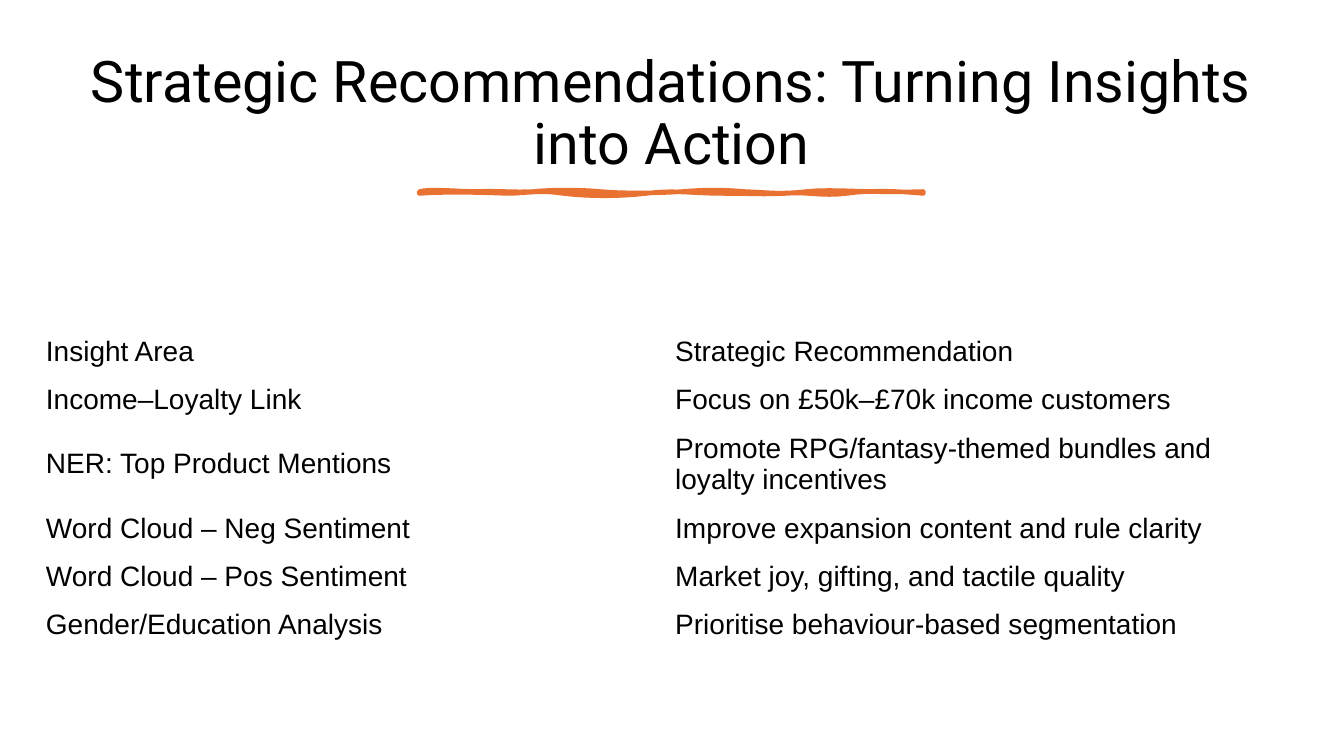
"""Build the strategic recommendations slide."""
from pptx import Presentation
from pptx import util as u
from pptx.dml.color import RGBColor
from pptx.enum import text

BLACK = RGBColor(0x00, 0x00, 0x00)
ORANGE = RGBColor(0xE9, 0x71, 0x32)

TITLE = "Strategic Recommendations: Turning Insights into Action"
TITLE_FONT = {"name": "Roboto", "size": u.Pt(41)}
TITLE_PARA = {"alignment": text.PP_ALIGN.CENTER, "line_spacing": 0.9}
TITLE_FRAME = {"word_wrap": True, "vertical_anchor": text.MSO_ANCHOR.MIDDLE}

RECOMMENDATIONS = [
    ("Insight Area", "Strategic Recommendation"),
    ("Income–Loyalty Link", "Focus on £50k–£70k income customers"),
    ("NER: Top Product Mentions",
     "Promote RPG/fantasy-themed bundles and loyalty incentives"),
    ("Word Cloud – Neg Sentiment", "Improve expansion content and rule clarity"),
    ("Word Cloud – Pos Sentiment", "Market joy, gifting, and tactile quality"),
    ("Gender/Education Analysis", "Prioritise behaviour-based segmentation"),
]
COLUMN_WIDTHS = [449.5, 458.5]
ROW_HEIGHTS = [34.4, 34.4, 57.6, 34.4, 34.4, 34.4]
CELL_FONT = {"name": "Arial", "size": u.Pt(20)}
CELL_FORMAT = {
    "vertical_anchor": text.MSO_ANCHOR.MIDDLE,
    "margin_left": u.Pt(7.6), "margin_right": u.Pt(7.6),
    "margin_top": u.Pt(3.8), "margin_bottom": u.Pt(3.8),
}
TABLE_FORMAT = {"first_row": False, "horz_banding": False}

BRUSH_TOP = [
    (299.5, 136.8),
    (308.2, 134.6), (326.9, 136.8), (340.6, 136.8),
    (354.2, 136.1), (366.5, 137.5), (380.9, 136.8),
    (395.3, 135.4), (413.3, 135.4), (429.1, 136.8),
    (444.2, 138.2), (470.2, 138.2), (487.4, 136.8),
    (505.4, 135.4), (514.1, 135.4), (532.1, 136.8),
    (549.4, 137.5), (557.3, 139), (576, 136.8),
    (594.7, 134.6), (624.2, 138.2), (659.5, 136.8),
]
BRUSH_BOTTOM = [
    (659.5, 138.2),
    (644.4, 136.8), (622.8, 135.4), (604.8, 138.2),
    (586.8, 140.4), (576.7, 136.8), (560.9, 138.2),
    (544.3, 139), (537.8, 138.2), (516.2, 138.2),
    (494.6, 138.2), (480.2, 135.4), (461.5, 138.2),
    (442.1, 140.4), (421.2, 140.4), (402.5, 138.2),
    (384.5, 135.4), (376.6, 138.2), (362.2, 138.2),
    (347.8, 137.5), (315.4, 136.8), (299.5, 138.2),
]
CURVE_STEPS = 8
UNITS_PER_POINT = 100


def apply_format(target, values):
    """Set every attribute listed in values on target."""
    for name, value in values.items():
        setattr(target, name, value)


def write(frame, words, font, para_format=None):
    """Put one formatted run of words in a text frame."""
    para = frame.paragraphs[0]
    apply_format(para, para_format or {})
    span = para.add_run()
    span.text = words
    apply_format(span.font, font)
    span.font.color.rgb = BLACK


def add_title(page):
    """Add the centred slide title."""
    box = page.shapes.add_textbox(u.Pt(50.4), u.Pt(33.1), u.Pt(859), u.Pt(98.6))
    apply_format(box.text_frame, TITLE_FRAME)
    write(box.text_frame, TITLE, TITLE_FONT, TITLE_PARA)


def sample_curves(points):
    """Return points along a chain of cubic curves."""
    samples = [points[0]]
    for first in range(0, len(points) - 1, 3):
        controls = points[first:first + 4]
        for step in range(1, CURVE_STEPS + 1):
            t = step / CURVE_STEPS
            weights = ((1 - t) ** 3, 3 * t * (1 - t) ** 2, 3 * t * t * (1 - t), t ** 3)
            samples.append(tuple(
                sum(weight * value for weight, value in zip(weights, axis))
                for axis in zip(*controls)))
    return samples


def add_brush_line(page):
    """Add the wavy underline below the title."""
    outline = [(x * UNITS_PER_POINT, y * UNITS_PER_POINT)
               for x, y in sample_curves(BRUSH_TOP) + sample_curves(BRUSH_BOTTOM)]
    builder = page.shapes.build_freeform(*outline[0], scale=u.Pt(1) / UNITS_PER_POINT)
    builder.add_line_segments(outline[1:], close=True)
    brush = builder.convert_to_shape()
    brush.shadow.inherit = False
    for fill in (brush.fill, brush.line.fill):
        fill.solid()
        fill.fore_color.rgb = ORANGE
    brush.line.width = u.Pt(3.25)


def add_recommendations(page):
    """Add the unfilled table of insights and recommendations."""
    table = page.shapes.add_table(
        len(ROW_HEIGHTS), len(COLUMN_WIDTHS), u.Pt(25.2), u.Pt(233.8),
        u.Pt(sum(COLUMN_WIDTHS)), u.Pt(sum(ROW_HEIGHTS))).table
    apply_format(table, TABLE_FORMAT)
    for column, width in zip(table.columns, COLUMN_WIDTHS):
        column.width = u.Pt(width)
    for row, height, entries in zip(table.rows, ROW_HEIGHTS, RECOMMENDATIONS):
        row.height = u.Pt(height)
        for cell, words in zip(row.cells, entries):
            cell.fill.background()
            apply_format(cell, CELL_FORMAT)
            write(cell.text_frame, words, CELL_FONT)


def main():
    """Build and save the deck."""
    deck = Presentation()
    deck.slide_width, deck.slide_height = u.Pt(960), u.Pt(540)
    page = deck.slides.add_slide(deck.slide_layouts[6])
    add_title(page)
    add_brush_line(page)
    add_recommendations(page)
    deck.save("out.pptx")


if __name__ == "__main__":
    main()
